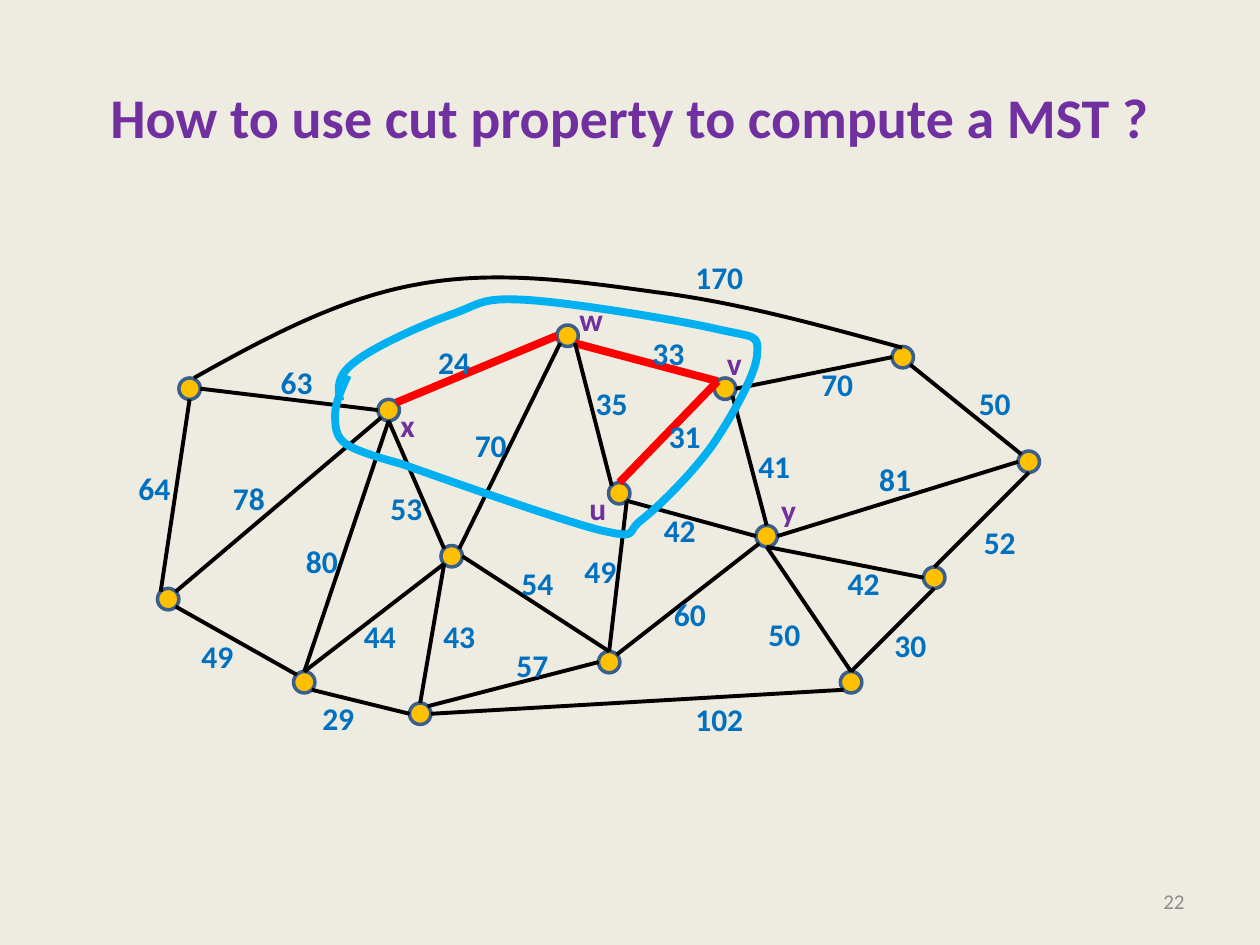
from lxml import etree
from pptx import Presentation
from pptx.dml.color import RGBColor
from pptx.enum.shapes import MSO_CONNECTOR as Connector, MSO_SHAPE as Shape
from pptx.enum.text import MSO_ANCHOR as Anchor, MSO_AUTO_SIZE as AutoSize, PP_ALIGN as Align
from pptx.oxml.ns import qn
from pptx.util import Inches, Pt

BACKGROUND = RGBColor(0xEE, 0xEC, 0xE1)
PURPLE = RGBColor(0x70, 0x30, 0xA0)
WEIGHT_BLUE = RGBColor(0x00, 0x70, 0xC0)
CUT_BLUE = RGBColor(0x00, 0xB0, 0xF0)
NODE_GOLD = RGBColor(0xFF, 0xC0, 0x00)
NODE_OUTLINE = RGBColor(0x3A, 0x5F, 0x8C)
TREE_RED = RGBColor(0xFF, 0x00, 0x00)
BLACK = RGBColor(0, 0, 0)
GREY = RGBColor(0x8C, 0x8C, 0x8C)
FONT = "Calibri"

NODE_SIZE = 0.17
# Left and top of each vertex
NODES = {
    "a": (1.42, 3), "x": (3, 3.17), "b": (1.25, 4.67), "c": (3.5, 4.33),
    "w": (4.42, 2.58), "d": (2.33, 5.33), "v": (5.67, 3), "y": (6, 4.17),
    "e": (4.75, 5.17), "f": (7.33, 4.5), "g": (6.67, 5.33), "h": (3.25, 5.58),
    "u": (4.83, 3.83), "i": (7.08, 2.75), "j": (8.08, 3.58),
}
# Where an edge touches a vertex, as fractions of its size
SITES = {
    "N": (0.5, 0), "S": (0.5, 1), "W": (0, 0.5), "E": (1, 0.5),
    "NW": (0.15, 0.15), "NE": (0.85, 0.15), "SW": (0.15, 0.85), "SE": (0.85, 0.85),
}
# Vertex and site at both ends, in drawing order
EDGES = [
    "a E x W", "a S b NW", "x S c NW", "c SW d N", "w SW c NE", "v NW u N",
    "w SE v NW", "c E e N", "c SW h N", "x NE w W", "v E i W", "i SE j NW",
    "v SE y N", "j W y E", "f W y S", "g N y S", "e N u SE", "u SE y W",
    "h E g SW", "b SE d NW", "e W h NE", "x SW b NE", "x S d N", "w SE u NW",
    "y SW e NE", "j S f N", "g N f S", "h W d SE",
]
TREE_EDGES = {"v NW u N", "w SE v NW", "x NE w W"}

WEIGHTS = [
    (170, 5.42, 2), (33, 5.08, 2.6), (31, 5.21, 3.26), (41, 5.92, 3.5),
    (81, 6.88, 3.6), (52, 7.71, 4.1), (42, 6.63, 4.43), (50, 7.67, 3),
    (102, 5.42, 5.51), (50, 6, 4.83), (30, 7, 4.92), (60, 5.25, 4.67),
    (70, 3.67, 3.33), (54, 4.04, 4.43), (57, 4, 5.08), (49, 4.54, 4.33),
    (49, 1.5, 5.01), (80, 2.33, 4.25), (78, 1.75, 3.75), (63, 2.13, 2.83),
    (24, 3.38, 2.67), (53, 3, 3.83), (44, 2.79, 4.85), (29, 2.46, 5.5),
    (64, 1, 3.67), (42, 5.17, 4.01), (43, 3.42, 4.85), (70, 6.42, 2.85),
    (35, 4.63, 3),
]
NODE_NAMES = [("u", 4.58, 3.83), ("v", 5.67, 2.68), ("w", 4.5, 2.33),
              ("x", 3.08, 3.17), ("y", 6.1, 3.85)]
LABEL_WIDTHS = {"u": 0.34, "w": 0.39, 1: 0.32, 2: 0.46, 3: 0.59}

# Bezier curves: a start point, then two controls and an end per segment
LONG_EDGE_BOX = (1.54, 2.2, 5.62, 0.8)
LONG_EDGE = [
    (1.54, 3), (2.11, 2.68), (2.69, 2.37), (3.3, 2.26), (3.92, 2.14),
    (4.57, 2.23), (5.21, 2.32), (5.85, 2.4), (6.5, 2.58), (7.16, 2.76),
]
CUT_BOX = (2.66, 2.37, 3.35, 1.87)
CUT = [
    (2.76, 2.98), (2.71, 3.09), (2.66, 3.2), (2.66, 3.29),
    (2.66, 3.38), (2.66, 3.46), (2.74, 3.52), (2.83, 3.59), (3.18, 3.68), (3.18, 3.68),
    (3.52, 3.8), (4.45, 4.13), (4.77, 4.21), (5.09, 4.28), (4.95, 4.23), (5.1, 4.12),
    (5.24, 4.01), (5.49, 3.76), (5.65, 3.54), (5.8, 3.32), (6.01, 2.96), (6.01, 2.8),
    (6.02, 2.65), (5.99, 2.68), (5.68, 2.61), (5.38, 2.54), (4.52, 2.4), (4.17, 2.38),
    (3.82, 2.36), (3.82, 2.41), (3.6, 2.49), (3.37, 2.57), (2.97, 2.75), (2.82, 2.87),
    (2.67, 2.98), (2.68, 3.08), (2.7, 3.18),
]


def style_text(paragraph, size, color, bold=True):
    font = paragraph.font
    font.name, font.size, font.bold = FONT, Pt(size), bold
    font.color.rgb = color


def style_line(line, color, width):
    line.color.rgb = color
    line.width = Pt(width)


def set_title(slide, text):
    title = slide.shapes.title
    title.left, title.top = Inches(0.5), Inches(0.3)
    title.width, title.height = Inches(9), Inches(1.25)
    title.text_frame.text = text
    title.text_frame.vertical_anchor = Anchor.MIDDLE
    title.text_frame.paragraphs[0].alignment = Align.CENTER
    style_text(title.text_frame.paragraphs[0], 32, PURPLE)


def add_page_number(slide, number):
    box = slide.shapes.add_textbox(Inches(7.17), Inches(6.95), Inches(2.33), Inches(0.4))
    frame = box.text_frame
    frame.word_wrap = True
    frame.vertical_anchor = Anchor.MIDDLE
    frame.text = str(number)
    frame.paragraphs[0].alignment = Align.RIGHT
    style_text(frame.paragraphs[0], 12, GREY, bold=False)


def add_node(slide, left, top):
    node = slide.shapes.add_shape(Shape.OVAL, Inches(left), Inches(top),
                                  Inches(NODE_SIZE), Inches(NODE_SIZE))
    node.shadow.inherit = False
    node.fill.solid()
    node.fill.fore_color.rgb = NODE_GOLD
    style_line(node.line, NODE_OUTLINE, 2)


def site_position(node, site):
    return [Inches(start + NODE_SIZE * share)
            for start, share in zip(NODES[node], SITES[site])]


def add_edge(slide, ends):
    first, first_site, second, second_site = ends.split()
    edge = slide.shapes.add_connector(Connector.STRAIGHT,
                                      *site_position(first, first_site),
                                      *site_position(second, second_site))
    color, width = (TREE_RED, 4.5) if ends in TREE_EDGES else (BLACK, 2.25)
    style_line(edge.line, color, width)
    etree.SubElement(edge._element.spPr, qn("a:effectLst"))


def add_curve(slide, box, knots, color, width):
    left, top, box_width, box_height = box
    # The box diagonal fixes the frame; the Bezier segments then take its place
    builder = slide.shapes.build_freeform(Inches(left), Inches(top))
    builder.add_line_segments([(Inches(left + box_width), Inches(top + box_height))],
                              close=False)
    curve = builder.convert_to_shape()
    outline = next(curve._element.iter(qn("a:path")))
    for segment in list(outline):
        outline.remove(segment)
    for tag, points in [("a:moveTo", knots[:1])] + [
            ("a:cubicBezTo", knots[n:n + 3]) for n in range(1, len(knots), 3)]:
        segment = etree.SubElement(outline, qn(tag))
        for x, y in points:
            etree.SubElement(segment, qn("a:pt"),
                             x=str(Inches(x - left)), y=str(Inches(y - top)))
    curve.shadow.inherit = False
    curve.fill.background()
    style_line(curve.line, color, width)


def add_label(slide, text, left, top, color):
    width = LABEL_WIDTHS.get(text, LABEL_WIDTHS[len(text)])
    label = slide.shapes.add_textbox(Inches(left), Inches(top), Inches(width), Inches(0.4))
    frame = label.text_frame
    frame.word_wrap = False
    frame.auto_size = AutoSize.SHAPE_TO_FIT_TEXT
    frame.text = text
    style_text(frame.paragraphs[0], 18, color)


def main():
    deck = Presentation()
    deck.slide_width, deck.slide_height = Inches(10), Inches(7.5)
    slide = deck.slides.add_slide(deck.slide_layouts[5])
    slide.background.fill.solid()
    slide.background.fill.fore_color.rgb = BACKGROUND

    set_title(slide, "How to use cut property to compute a MST ?")
    add_page_number(slide, 22)

    # Graph
    for left, top in NODES.values():
        add_node(slide, left, top)
    for ends in EDGES:
        add_edge(slide, ends)
    add_curve(slide, LONG_EDGE_BOX, LONG_EDGE, BLACK, 2.25)

    # Edge weights and vertex names
    for weight, left, top in WEIGHTS:
        add_label(slide, str(weight), left, top, WEIGHT_BLUE)
    for name, left, top in NODE_NAMES:
        add_label(slide, name, left, top, PURPLE)

    # Cut around u, v, w and x
    add_curve(slide, CUT_BOX, CUT, CUT_BLUE, 4.5)
    deck.save("out.pptx")


if __name__ == "__main__":
    main()
